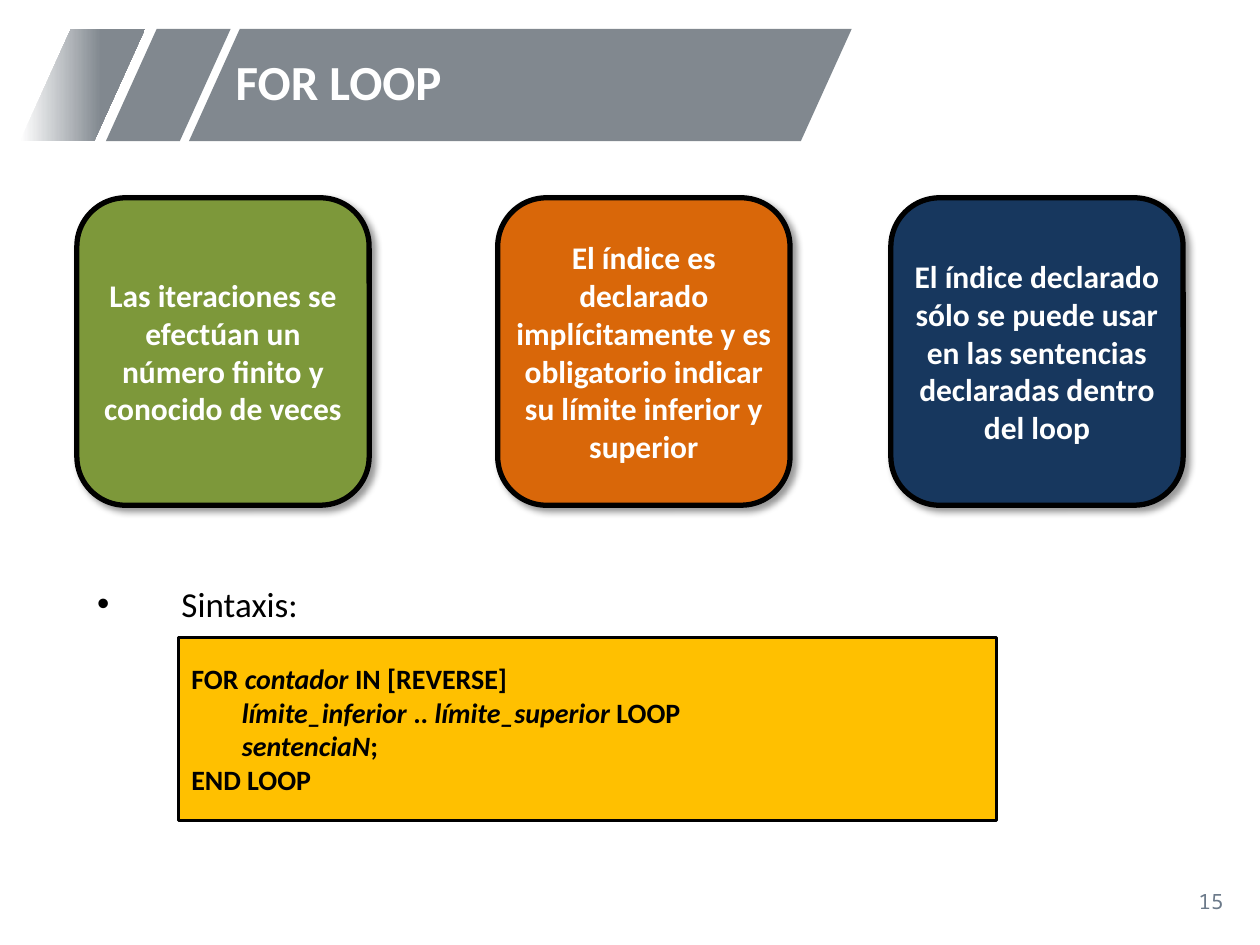
from dataclasses import dataclass

from lxml.etree import SubElement
from pptx import Presentation
from pptx.dml.color import RGBColor
from pptx.enum.shapes import MSO_SHAPE as Shape
from pptx.enum.text import MSO_ANCHOR as Anchor, MSO_AUTO_SIZE as AutoSize, PP_ALIGN as Align
from pptx.oxml.ns import qn
from pptx.util import Inches, Pt


@dataclass(frozen=True)
class Theme:
    font: str = "Calibri"
    number_font: str = "Noto Sans Mono"
    white: str = "FFFFFF"
    black: str = "000000"
    band: str = "81888F"
    number: str = "6C7A8A"
    code: str = "FFC000"
    green: str = "7D983A"
    orange: str = "D96709"
    navy: str = "17375E"
    title_size: int = 28
    body_size: int = 20
    card_size: int = 18
    code_size: int = 16
    number_size: int = 12


THEME = Theme()


def rgb(color):
    return RGBColor.from_string(color)


def add_text(paragraph, text, *, size, color, font=THEME.font, bold=False, italic=False, align=Align.LEFT):
    paragraph.alignment = align
    run = paragraph.add_run()
    run.text = text
    run.font.name = font
    run.font.size = Pt(size)
    run.font.bold = bold
    run.font.italic = italic
    run.font.color.rgb = rgb(color)


class SlideBuilder:
    def __init__(self, slide, theme):
        self.slide = slide
        self.theme = theme

    def frame(self, shape, inset=None):
        frame = shape.text_frame
        frame.word_wrap = True
        frame.auto_size = AutoSize.NONE
        frame.vertical_anchor = Anchor.MIDDLE
        if inset is not None:
            frame.margin_left = frame.margin_right = inset
            frame.margin_top = frame.margin_bottom = inset
        return frame

    def place(self, shape, left, top, width, height):
        shape.left, shape.top = Inches(left), Inches(top)
        shape.width, shape.height = Inches(width), Inches(height)

    def block(self, preset, left, top, width, height, fill, border=0):
        block = self.slide.shapes.add_shape(
            preset, Inches(left), Inches(top), Inches(width), Inches(height))
        block.shadow.inherit = False
        block.fill.solid()
        block.fill.fore_color.rgb = rgb(fill)
        if border:
            block.line.color.rgb = rgb(self.theme.black)
            block.line.width = Pt(border)
        else:
            block.line.fill.background()
        return block

    def band(self, left, width, fade=False):
        band = self.block(Shape.PARALLELOGRAM, left, 0.23, width, 0.89, self.theme.band)
        band.adjustments[0] = 0.453
        if fade:
            band.fill.gradient()
            band.fill.gradient_angle = 0
            start, end = band.fill.gradient_stops
            start.position, end.position = 0, 0.65
            start.color.rgb, end.color.rgb = rgb(self.theme.white), rgb(self.theme.band)
        band.element.getparent().insert(2, band.element)

    def title(self, text):
        title = self.slide.shapes.title
        self.place(title, 1.77, 0.23, 4.69, 0.89)
        paragraph = self.frame(title).paragraphs[0]
        paragraph.line_spacing = 0.9
        add_text(paragraph, text, size=self.theme.title_size, color=self.theme.white, bold=True)

    def bullet(self, text):
        body = self.slide.placeholders[1]
        self.place(body, 0.67, 4.6, 8.58, 0.45)
        paragraph = self.frame(body).paragraphs[0]
        properties = paragraph._p.get_or_add_pPr()
        properties.set("marL", str(Inches(0.67)))
        properties.set("indent", str(-Inches(0.67)))
        paragraph.line_spacing = 0.8
        paragraph.space_before = Pt(0)
        add_text(paragraph, text, size=self.theme.body_size, color=self.theme.black, align=Align.JUSTIFY)

    def card(self, left, text, fill):
        card = self.block(Shape.ROUNDED_RECTANGLE, left, 1.57, 2.32, 2.44, fill, border=3)
        effects = card.element.spPr.find(qn("a:effectLst"))
        shadow = SubElement(effects, qn("a:outerShdw"), blurRad=str(Pt(4)), dist=str(Pt(3)),
                            dir=str(45 * 60000), algn="tl", rotWithShape="0")
        tint = SubElement(shadow, qn("a:srgbClr"), val=self.theme.black)
        SubElement(tint, qn("a:alpha"), val="40000")
        add_text(self.frame(card, 0).paragraphs[0], text, size=self.theme.card_size,
                 color=self.theme.white, bold=True, align=Align.CENTER)

    def code(self, lines):
        panel = self.block(Shape.RECTANGLE, 1.42, 5.06, 6.49, 1.45, self.theme.code, border=1.75)
        frame = self.frame(panel)
        for index, line in enumerate(lines):
            paragraph = frame.add_paragraph() if index else frame.paragraphs[0]
            for text, italic in line:
                add_text(paragraph, text, size=self.theme.code_size, color=self.theme.black,
                         bold=True, italic=italic)

    def page_number(self, text):
        number = self.slide.shapes.add_textbox(Inches(7.56), Inches(6.95), Inches(2.25), Inches(0.4))
        add_text(self.frame(number).paragraphs[0], text, size=self.theme.number_size,
                 color=self.theme.number, font=self.theme.number_font, align=Align.RIGHT)


def main():
    deck = Presentation()
    deck.slide_width, deck.slide_height = Inches(10), Inches(7.5)
    builder = SlideBuilder(deck.slides.add_slide(deck.slide_layouts[1]), THEME)

    builder.band(0.16, 0.99, fade=True)
    builder.band(0.84, 0.99)
    builder.band(1.5, 5.26)
    builder.title("FOR LOOP")

    rules = [
        (0.61, "Las iteraciones se efectúan un número finito y conocido de veces", THEME.green),
        (3.95, "El índice es declarado implícitamente y es obligatorio indicar su límite inferior y superior",
         THEME.orange),
        (7.07, "El índice declarado sólo se puede usar en las sentencias declaradas dentro del loop",
         THEME.navy),
    ]
    for left, text, fill in rules:
        builder.card(left, text, fill)

    builder.bullet("Sintaxis:")
    builder.code([
        [("FOR ", False), ("contador", True), (" IN [REVERSE]", False)],
        [("        ", False), ("límite_inferior", True), (" .. ", False),
         ("límite_superior", True), (" LOOP", False)],
        [("        ", False), ("sentenciaN", True), (";", False)],
        [("END LOOP", False)],
    ])
    builder.page_number("15")
    deck.save("out.pptx")


if __name__ == "__main__":
    main()
